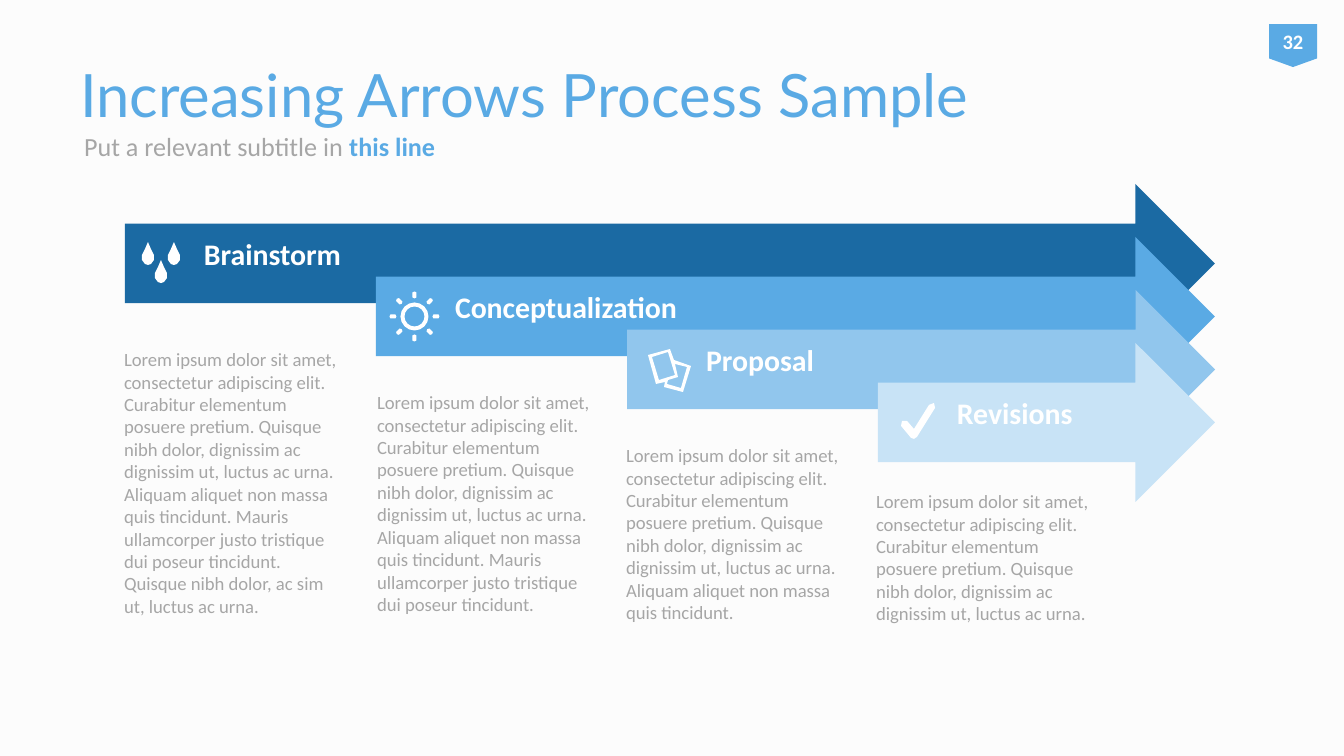
import math

from pptx import Presentation
from pptx import util as u
from pptx.dml.color import RGBColor
from pptx.enum import shapes, text

PX = 914400 / 134.4
COLORS = {
    "back": "FCFCFC", "white": "FFFFFF", "grey": "A6A6A6", "navy": "1B6AA3",
    "blue": "5AAAE4", "sky": "91C6ED", "pale": "C8E3F6",
}


def style(sp, color):
    sp.shadow.inherit = False
    sp.fill.solid()
    sp.fill.fore_color.rgb = RGBColor.from_string(COLORS[color])
    sp.line.fill.background()


def write(sp, runs, size, anchor="MIDDLE", font="Calibri", insets=(13, 7, 13, 7)):
    """Fill sp with (words, colour, bold) runs; insets are left, top, right, bottom."""
    tf = sp.text_frame
    tf.word_wrap = True
    tf.vertical_anchor = text.MSO_ANCHOR[anchor]
    tf.margin_left, tf.margin_top, tf.margin_right, tf.margin_bottom = [
        u.Emu(round(n * PX)) for n in insets]
    p = tf.paragraphs[0]
    for words, color, bold in runs:
        r = p.add_run()
        r.text = words
        r.font.name, r.font.size, r.font.bold = font, u.Pt(size), bold
        r.font.color.rgb = RGBColor.from_string(COLORS[color])
    return p


prs = Presentation()
prs.slide_width, prs.slide_height = round(1344 * PX), round(756 * PX)
s = prs.slides.add_slide(prs.slide_layouts[6])
s.background.fill.solid()
s.background.fill.fore_color.rgb = RGBColor.from_string(COLORS["back"])

# Arrows: each starts further right and lower, all end at the same tip
RIGHT, HEIGHT = 1215, 159
steps = [("Brainstorm", "navy"), ("Conceptualization", "blue"),
         ("Proposal", "sky"), ("Revisions", "pale")]
for i, (name, color) in enumerate(steps):
    left, top = 125 + 251 * i, 184 + 53 * i
    box = [round(n * PX) for n in (left, top, RIGHT - left, HEIGHT)]
    sp = s.shapes.add_shape(shapes.MSO_SHAPE.RIGHT_ARROW, *box)
    style(sp, color)
    box = [round(n * PX) for n in (left, top + 39, RIGHT - 39 - left, 80)]
    sp = s.shapes.add_textbox(*box)
    p = write(sp, [(name, "white", True)], 16, insets=(79, 10, 38, 25))
    p.line_spacing = 0.9

# Title and subtitle
sp = s.shapes.add_textbox(*[round(n * PX) for n in (67, 31, 1187, 126)])
write(sp, [("Increasing Arrows Process Sample", "blue", False)], 32, font="Lato")
sp = s.shapes.add_textbox(*[round(n * PX) for n in (71, 119, 466, 54)])
write(sp, [("Put a relevant subtitle in ", "grey", False), ("this line", "blue", True)], 14)

# Descriptions: each one drops the last sentences of the one before
sentences = [
    "Lorem ipsum dolor sit amet, consectetur adipiscing elit. Curabitur elementum "
    "posuere pretium. Quisque nibh dolor, dignissim ac dignissim ut, luctus ac urna.",
    "Aliquam aliquet non massa quis tincidunt.",
    "Mauris ullamcorper justo tristique dui poseur tincidunt.",
    "Quisque nibh dolor, ac sim ut, luctus ac urna.",
]
for i, (left, top) in enumerate([(111, 341), (364, 384), (613, 437), (863, 483)]):
    box = [round(n * PX) for n in (left, top, 246, 632 - top)]
    sp = s.shapes.add_textbox(*box)
    write(sp, [(" ".join(sentences[:4 - i]), "grey", False)], 10, anchor="TOP")

# Icons: each is a list of closed outlines, inner ones cut holes
drop = [(0, 0), (3, 7), (6, 13), (6, 18), (3, 22), (0, 23),
        (-3, 22), (-6, 18), (-6, 13), (-3, 7)]
drops = [[(x + a, y + b) for a, b in drop] for x, y in [(148, 242), (174, 242), (161, 260)]]
sun_x, sun_y = 414.5, 316.5
turn = [k * math.pi / 8 for k in range(16)]
sun = [[(sun_x + radius * math.cos(t), sun_y + radius * math.sin(t)) for t in turn]
       for radius in (14, 10)]
ray = [(18, 0), (19, -2), (24, -2), (25, 0), (24, 2), (19, 2)]
for t in turn[::2]:
    c, d = math.cos(t), math.sin(t)
    sun.append([(sun_x + a * c - b * d, sun_y + a * d + b * c) for a, b in ray])
cards = [
    [(670, 349), (648, 355), (656, 384), (665, 382), (664, 387), (683, 392),
     (691, 366), (674, 360)],
    [(652, 357), (668, 352), (675, 375), (659, 380)],
    [(681, 388), (667, 384), (668, 380), (678, 377), (675, 364), (687, 367)],
]
check = [[(914, 439), (911, 438), (901, 426), (902, 421), (907, 421), (914, 429),
          (929, 405), (934, 403), (935, 408), (917, 437)]]
FINE = 100  # drawing units per px
for icon in (drops, sun, cards, check):
    outlines = [[(x * FINE, y * FINE) for x, y in outline] for outline in icon]
    builder = s.shapes.build_freeform(*outlines[0][0], scale=PX / FINE)
    builder.add_line_segments(outlines[0][1:], close=True)
    for outline in outlines[1:]:
        builder.move_to(*outline[0])
        builder.add_line_segments(outline[1:], close=True)
    style(builder.convert_to_shape(), "white")

# Page number badge
box = [round(n * PX) for n in (1269, 24, 48, 43)]
sp = s.shapes.add_shape(shapes.MSO_SHAPE.FLOWCHART_OFFPAGE_CONNECTOR, *box)
style(sp, "blue")
p = write(sp, [("32", "white", True)], 11, insets=(0, 0, 0, 0))
p.alignment = text.PP_ALIGN.CENTER

prs.save("out.pptx")
